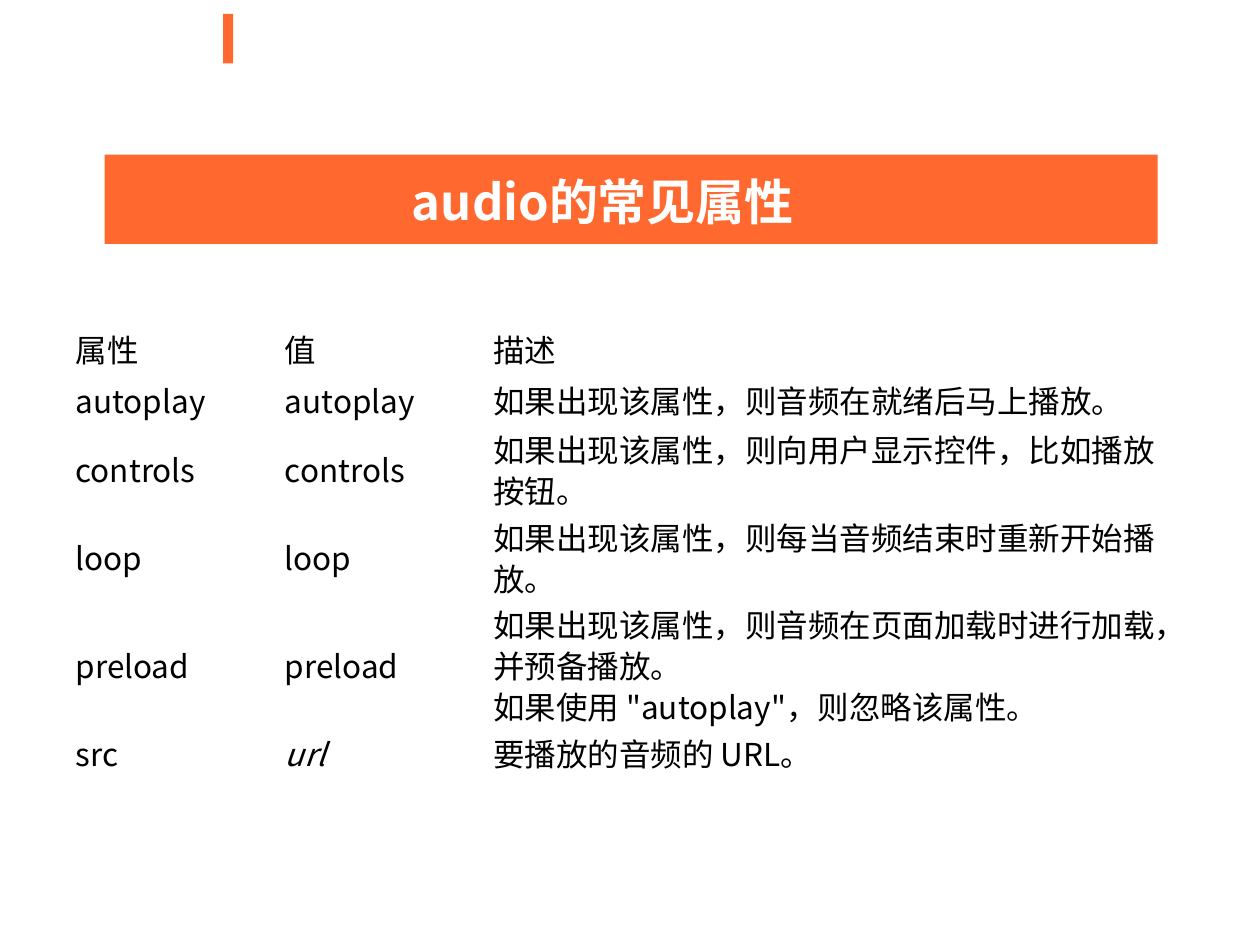
from dataclasses import dataclass

from lxml.etree import Element
from pptx import Presentation
from pptx.dml.color import RGBColor
from pptx.enum.shapes import MSO_SHAPE as Preset
from pptx.enum.text import MSO_ANCHOR as Anchor, PP_ALIGN as Align
from pptx.oxml.ns import qn
from pptx.util import Cm, Pt

TITLE = "audio的常见属性"
ATTRIBUTES = [
    ("属性", "值", "描述"),
    ("autoplay", "autoplay", "如果出现该属性，则音频在就绪后马上播放。"),
    ("controls", "controls", "如果出现该属性，则向用户显示控件，比如播放按钮。"),
    ("loop", "loop", "如果出现该属性，则每当音频结束时重新开始播放。"),
    ("preload", "preload",
     "如果出现该属性，则音频在页面加载时进行加载，并预备播放。\n"
     "如果使用 \"autoplay\"，则忽略该属性。"),
    ("src", "url", "要播放的音频的 URL。"),
]
ITALIC_VALUES = {"url"}
COLUMN_WIDTHS = (4.22, 4.2, 14.44)
ROW_HEIGHTS = (1.02, 1.02, 1.78, 1.78, 2.54, 1.02)

ACCENT_BOX = (4.5, 0.28, 0.2, 1)
BANNER_BOX = (2.11, 3.12, 21.23, 1.8)
TITLE_BOX = (8.05, 3.33, 11.61, 1.45)
TABLE_CORNER = (1.27, 6.55)


@dataclass(frozen=True)
class Theme:
    font: str = "Noto Sans CJK SC"
    orange: RGBColor = RGBColor(0xFF, 0x68, 0x2F)
    white: RGBColor = RGBColor(0xFF, 0xFF, 0xFF)
    black: RGBColor = RGBColor(0, 0, 0)
    title_size: Pt = Pt(28)
    body_size: Pt = Pt(18)


THEME = Theme()


def lengths(values):
    return [Cm(value) for value in values]


def style_text(frame, size, color, bold=False):
    for para in frame.paragraphs:
        para.alignment = Align.LEFT
        para.font.name = THEME.font
        para.font.size = size
        para.font.bold = bold
        para.font.italic = para.text in ITALIC_VALUES
        para.font.color.rgb = color


def use_font_for_chinese(shape):
    for latin in list(shape.element.iter(qn("a:latin"))):
        latin.addnext(Element(qn("a:ea"), typeface=THEME.font))


def add_bar(page, box):
    bar = page.shapes.add_shape(Preset.RECTANGLE, *lengths(box))
    bar.shadow.inherit = False
    bar.fill.solid()
    bar.fill.fore_color.rgb = THEME.orange
    bar.line.fill.background()
    return bar


def add_title(page):
    title = page.shapes.title
    title.left, title.top, title.width, title.height = lengths(TITLE_BOX)
    frame = title.text_frame
    frame.text = TITLE
    frame.word_wrap = True
    frame.vertical_anchor = Anchor.MIDDLE
    style_text(frame, THEME.title_size, THEME.white, bold=True)
    use_font_for_chinese(title)
    return title


def add_attribute_table(page):
    holder = page.shapes.add_table(
        len(ATTRIBUTES), len(COLUMN_WIDTHS), *lengths(TABLE_CORNER),
        Cm(sum(COLUMN_WIDTHS)), Cm(sum(ROW_HEIGHTS)))
    table = holder.table
    table.first_row = table.horz_banding = False
    for column, width in zip(table.columns, COLUMN_WIDTHS):
        column.width = Cm(width)
    for row, height, texts in zip(table.rows, ROW_HEIGHTS, ATTRIBUTES):
        row.height = Cm(height)
        for cell, text in zip(row.cells, texts):
            cell.text = text
            cell.fill.background()
            cell.vertical_anchor = Anchor.MIDDLE
            cell.margin_top = cell.margin_bottom = 0
            style_text(cell.text_frame, THEME.body_size, THEME.black)
            for para in cell.text_frame.paragraphs:
                para.line_spacing = 0.9
    use_font_for_chinese(holder)


def main():
    deck = Presentation()
    deck.slide_width, deck.slide_height = Cm(25.4), Cm(19.05)
    page = deck.slides.add_slide(deck.slide_layouts[5])
    title = add_title(page)
    for box in (ACCENT_BOX, BANNER_BOX):
        title.element.addprevious(add_bar(page, box).element)
    add_attribute_table(page)
    deck.save("out.pptx")


if __name__ == "__main__":
    main()
